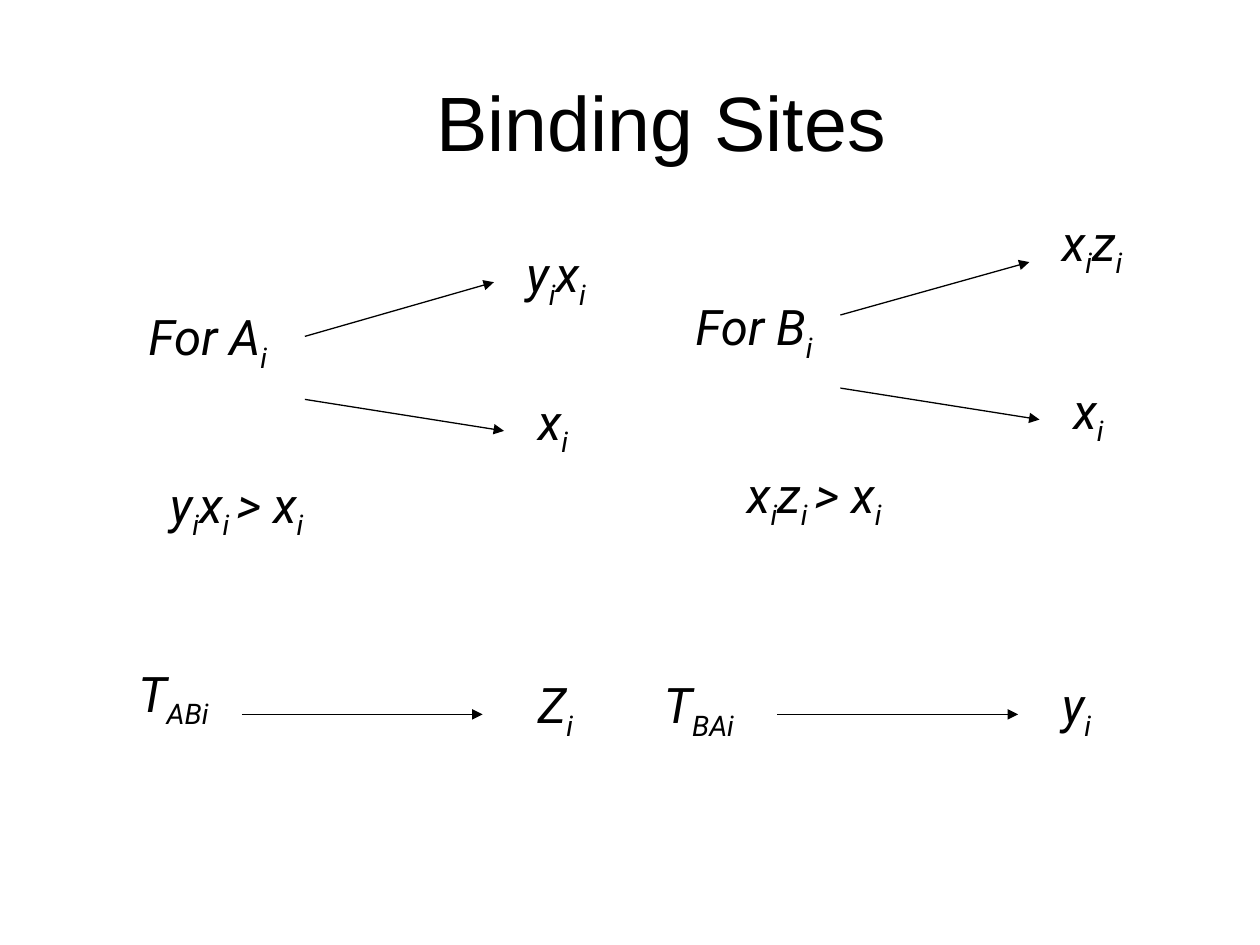
from lxml import etree
from pptx import Presentation
from pptx.dml.color import RGBColor
from pptx.enum import shapes, text
from pptx.oxml.ns import qn
from pptx.util import Inches, Pt

INK = "000000"

# Left, top, width and notation; every second part between bars is a subscript.
FORMULAS = [
    (1.08, 2.5, 1.58, "For A|i"),
    (4.08, 2, 1.67, "y|i|x|i"),
    (4.17, 3.17, 0.92, "x|i"),
    (1.25, 3.83, 3.08, "y|i|x|i |> x|i"),
    (5.42, 2.42, 1.83, "For B|i"),
    (8.33, 1.75, 1.67, "x|i|z|i"),
    (8.42, 3.08, 0.92, "x|i"),
    (5.83, 3.75, 3.08, "x|i|z|i |> x|i"),
    (1, 5.33, 2.58, "T|ABi"),
    (4.17, 5.42, 1.08, "Z|i"),
    (5.17, 5.42, 2.58, "T|BAi"),
    (8.33, 5.42, 1.08, "y|i"),
]

# Start x, start y, end x, end y
ARROWS = [
    (2.42, 2.67, 3.92, 2.24),
    (2.42, 3.17, 4, 3.42),
    (6.67, 2.5, 8.17, 2.08),
    (6.67, 3.08, 8.25, 3.33),
    (1.92, 5.67, 3.83, 5.67),
    (6.17, 5.67, 8.08, 5.67),
]


def color(hex_code):
    return RGBColor.from_string(hex_code)


def style_run(run, font, size, italic=False):
    run.font.name = font
    run.font.size = Pt(size)
    run.font.italic = italic
    run.font.color.rgb = color(INK)


def add_text_frame(slide, left, top, width, height):
    box = slide.shapes.add_textbox(*map(Inches, (left, top, width, height)))
    box.text_frame.word_wrap = True
    return box.text_frame


def add_title(slide, wording):
    frame = add_text_frame(slide, 1, 0.33, 8.5, 1.25)
    frame.text = wording
    frame.vertical_anchor = text.MSO_ANCHOR.MIDDLE
    paragraph = frame.paragraphs[0]
    paragraph.alignment = text.PP_ALIGN.CENTER
    style_run(paragraph.runs[0], "Arial", 44)


def add_formula(slide, left, top, width, notation):
    frame = add_text_frame(slide, left, top, width, 0.45)
    frame.auto_size = text.MSO_AUTO_SIZE.SHAPE_TO_FIT_TEXT
    paragraph = frame.paragraphs[0]
    paragraph.line_spacing = 0.65
    paragraph.space_before = Pt(17.5)
    for index, part in enumerate(notation.split("|")):
        run = paragraph.add_run()
        run.text = part
        style_run(run, "Roboto", 28, italic=True)
        if index % 2:
            run._r.get_or_add_rPr().set("baseline", "-25000")


def add_arrow(slide, *ends):
    arrow = slide.shapes.add_connector(
        shapes.MSO_CONNECTOR.STRAIGHT, *map(Inches, ends))
    arrow.line.color.rgb = color(INK)
    arrow.line.width = Pt(0.75)
    etree.SubElement(arrow.line._get_or_add_ln(), qn("a:tailEnd"), type="triangle")
    etree.SubElement(arrow._element.spPr, qn("a:effectLst"))


def main():
    deck = Presentation()
    deck.slide_width, deck.slide_height = Inches(10), Inches(7.5)
    slide = deck.slides.add_slide(deck.slide_layouts[6])
    add_title(slide, "Binding Sites")
    for formula in FORMULAS:
        add_formula(slide, *formula)
    for arrow in ARROWS:
        add_arrow(slide, *arrow)
    deck.save("out.pptx")


if __name__ == "__main__":
    main()
